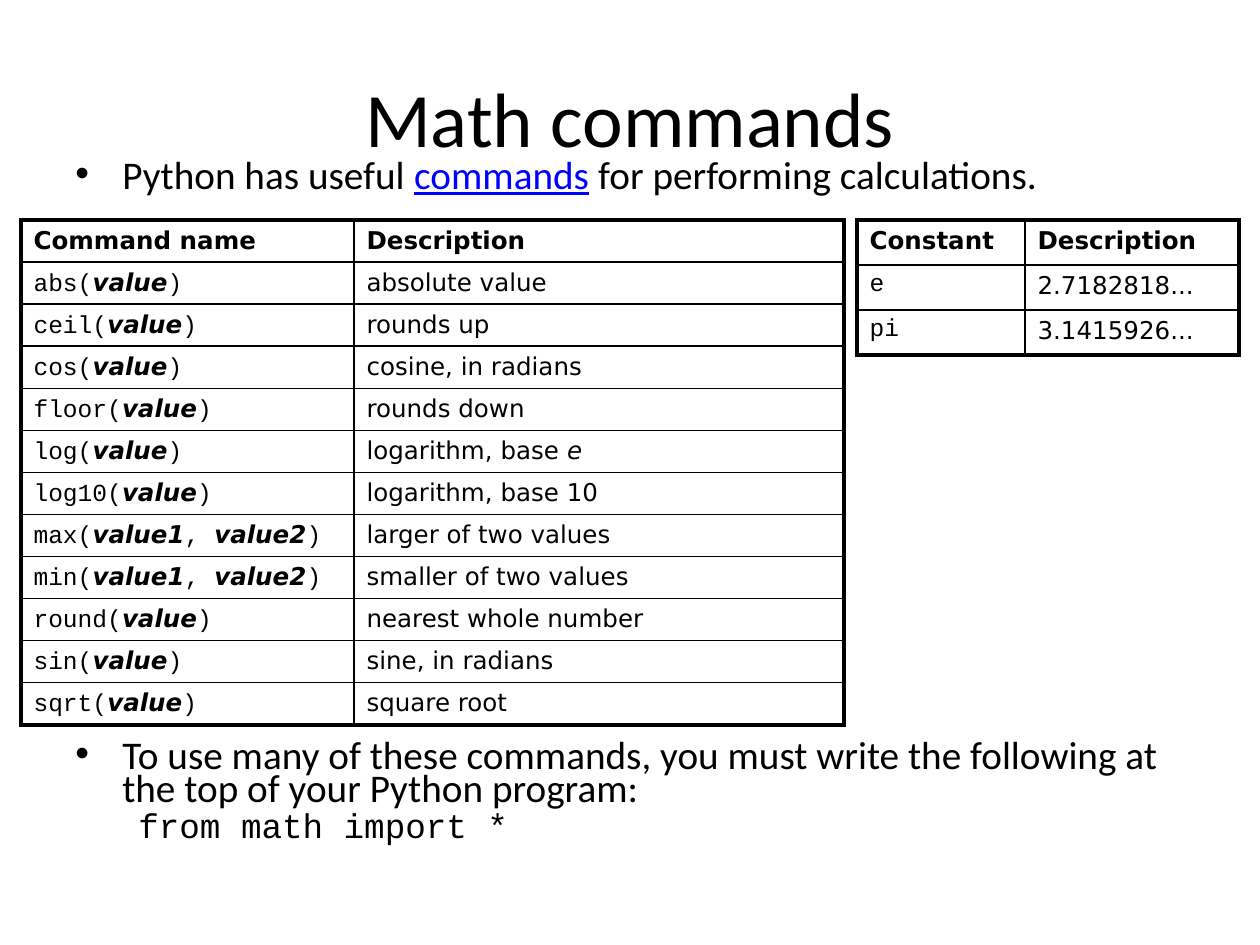
import pptx
import pptx.dml.color
import pptx.enum.text
import pptx.oxml.ns
import pptx.util
from lxml import etree

PX_PER_INCH = 126
BODY, CODE, CELL = "Calibri", "Courier New", "DejaVu Sans"
BLACK, BLUE = "000000", "0000FF"
THICK, THIN = 2.25, 1

COMMANDS = [
    ("abs", ["value"], "absolute value"),
    ("ceil", ["value"], "rounds up"),
    ("cos", ["value"], "cosine, in radians"),
    ("floor", ["value"], "rounds down"),
    ("log", ["value"], "logarithm, base "),
    ("log10", ["value"], "logarithm, base 10"),
    ("max", ["value1", "value2"], "larger of two values"),
    ("min", ["value1", "value2"], "smaller of two values"),
    ("round", ["value"], "nearest whole number"),
    ("sin", ["value"], "sine, in radians"),
    ("sqrt", ["value"], "square root"),
]
CONSTANTS = [("e", "2.7182818..."), ("pi", "3.1415926...")]


def px(length):
    return pptx.util.Emu(round(length * 914400 / PX_PER_INCH))


def color(value):
    return pptx.dml.color.RGBColor.from_string(value)


def add_child(parent, tag, **attributes):
    child = etree.SubElement(parent, pptx.oxml.ns.qn(tag))
    for name, value in attributes.items():
        child.set(name, str(value))
    return child


def add_span(para, text, font=CELL, size=14, fill=BLACK, bold=False, italic=False, underline=False):
    span = para.add_run()
    span.text = text
    span.font.name = font
    span.font.size = pptx.util.Pt(size)
    span.font.color.rgb = color(fill)
    span.font.bold = bold
    span.font.italic = italic
    span.font.underline = underline


def add_text_frame(page, box):
    frame = page.shapes.add_textbox(*map(px, box)).text_frame
    frame.word_wrap = True
    return frame


def indent(para, margin, first, bullet=False):
    properties = para._p.get_or_add_pPr()
    properties.set("marL", str(px(margin)))
    properties.set("indent", str(px(first)))
    if bullet:
        add_child(add_child(properties, "a:buClr"), "a:srgbClr", val=BLACK)
        add_child(properties, "a:buFont", typeface="Arial")
        add_child(properties, "a:buChar", char="•")


def add_title(page, box):
    frame = add_text_frame(page, box)
    frame.vertical_anchor = pptx.enum.text.MSO_ANCHOR.MIDDLE
    para = frame.paragraphs[0]
    para.alignment = pptx.enum.text.PP_ALIGN.CENTER
    add_span(para, "Math commands", font=BODY, size=44)


def add_bullet(page, box, spans):
    """Place one bulleted paragraph and return its text frame."""
    frame = add_text_frame(page, box)
    para = frame.paragraphs[0]
    para.line_spacing = 0.7
    indent(para, 47, -47, bullet=True)
    for text, style in spans:
        add_span(para, text, font=BODY, size=22.4, **style)
    return frame


def add_code_line(frame, text):
    para = frame.add_paragraph()
    para.line_spacing = 0.7
    para.space_before = pptx.util.Pt(3.9)
    indent(para, 102, -39)
    add_span(para, text, font=CODE, size=19.6)


def set_borders(cell, widths):
    properties = cell._tc.get_or_add_tcPr()
    for tag, width in zip(("a:lnL", "a:lnR", "a:lnT", "a:lnB"), widths):
        line = add_child(properties, tag, w=pptx.util.Pt(width))
        add_child(add_child(line, "a:solidFill"), "a:srgbClr", val=BLACK)


def add_grid(page, left, top, columns, row_height, rows):
    """Place a table with a thick frame and thin inner lines."""
    box = (left, top, sum(columns), row_height * len(rows))
    table = page.shapes.add_table(len(rows), len(columns), *map(px, box)).table
    table.first_row = table.horz_banding = False
    for column, width in zip(table.columns, columns):
        column.width = px(width)
    last_row, last_column = len(rows) - 1, len(columns) - 1
    for r, row in enumerate(rows):
        table.rows[r].height = px(row_height)
        for c, spans in enumerate(row):
            cell = table.cell(r, c)
            edges = (c == 0, c == last_column, r == 0, r == last_row)
            set_borders(cell, [THICK if edge else THIN for edge in edges])
            cell.fill.background()
            for text, style in spans:
                add_span(cell.text_frame.paragraphs[0], text, **style)


def header(*titles):
    return [[(title, {"bold": True})] for title in titles]


def call_spans(name, arguments):
    """Code-styled call whose arguments are bold italic."""
    code = {"font": CODE}
    spans = [(name + "(", code)]
    for i, argument in enumerate(arguments):
        if i:
            spans.append((", ", code))
        spans.append((argument, {"bold": True, "italic": True}))
    return spans + [(")", code)]


def add_command_table(page, left, top):
    rows = [header("Command name", "Description")]
    for name, arguments, description in COMMANDS:
        spans = [(description, {})]
        if name == "log":
            spans.append(("e", {"italic": True}))
        rows.append([call_spans(name, arguments), spans])
    add_grid(page, left, top, (333, 490), 42, rows)


def add_constant_table(page, left, top):
    rows = [header("Constant", "Description")]
    rows += [[[(name, {"font": CODE})], [(value, {})]] for name, value in CONSTANTS]
    add_grid(page, left, top, (168, 214), 45, rows)


def main():
    deck = pptx.Presentation()
    deck.slide_width, deck.slide_height = px(1260), px(945)
    page = deck.slides.add_slide(deck.slide_layouts[6])

    # Title and opening bullet
    add_title(page, (63, 38, 1134, 157))
    add_bullet(page, (63, 157, 1134, 55), [
        ("Python has useful ", {}),
        ("commands", {"fill": BLUE, "underline": True}),
        (" for performing calculations.", {}),
    ])

    # Closing bullet with the import line
    closing = add_bullet(page, (63, 737, 1134, 155), [
        ("To use many of these commands, you must write the following at "
         "the top of your Python program:", {}),
    ])
    add_code_line(closing, "from math import *")

    # Reference tables
    add_command_table(page, 21, 220)
    add_constant_table(page, 857, 220)

    deck.save("out.pptx")


if __name__ == "__main__":
    main()
